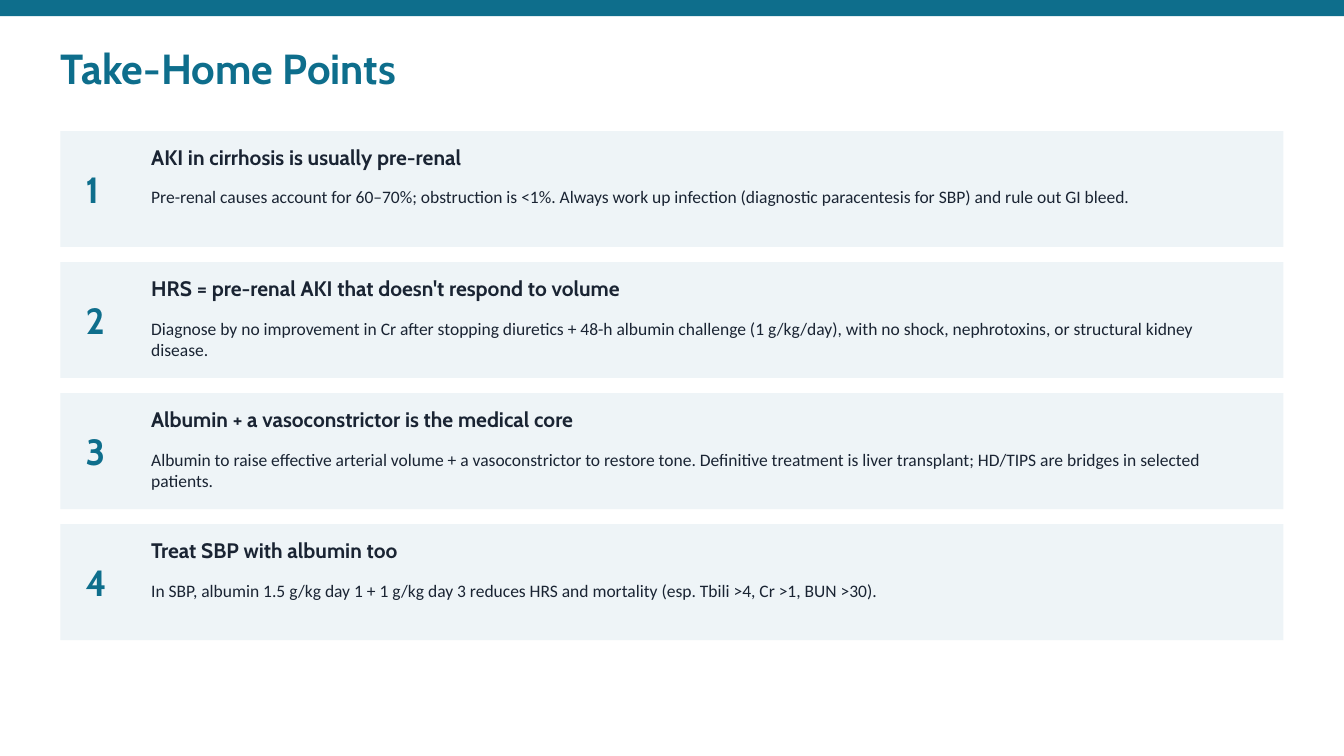
from dataclasses import dataclass

from pptx import Presentation
from pptx.dml.color import RGBColor
from pptx.enum.shapes import MSO_SHAPE
from pptx.enum.text import MSO_ANCHOR, MSO_AUTO_SIZE, PP_ALIGN
from pptx.util import Inches, Pt


@dataclass(frozen=True)
class Theme:
    accent: str = "0E6E8C"
    ink: str = "1A2433"
    panel: str = "EEF4F7"
    heading_font: str = "Cabin"
    body_font: str = "Calibri"
    title_size: float = 30
    number_size: float = 26
    heading_size: float = 15
    body_size: float = 12.5


THEME = Theme()
WIDTH, HEIGHT = 13.33, 7.5
MARGIN = 0.6
CONTENT_WIDTH = WIDTH - 2 * MARGIN
FIRST_ROW, ROW_PITCH, ROW_HEIGHT = 1.3, 1.3, 1.15
NUMBER_LEFT, TEXT_LEFT = MARGIN + 0.25, MARGIN + 0.9
TEXT_WIDTH = CONTENT_WIDTH - 1.2

POINTS = [
    ("AKI in cirrhosis is usually pre-renal",
     "Pre-renal causes account for 60–70%; obstruction is <1%. Always work up infection "
     "(diagnostic paracentesis for SBP) and rule out GI bleed."),
    ("HRS = pre-renal AKI that doesn't respond to volume",
     "Diagnose by no improvement in Cr after stopping diuretics + 48-h albumin challenge "
     "(1 g/kg/day), with no shock, nephrotoxins, or structural kidney disease."),
    ("Albumin + a vasoconstrictor is the medical core",
     "Albumin to raise effective arterial volume + a vasoconstrictor to restore tone. "
     "Definitive treatment is liver transplant; HD/TIPS are bridges in selected patients."),
    ("Treat SBP with albumin too",
     "In SBP, albumin 1.5 g/kg day 1 + 1 g/kg day 3 reduces HRS and mortality "
     "(esp. Tbili >4, Cr >1, BUN >30)."),
]


def write_text(shape, text, *, size, color=THEME.ink, font=THEME.heading_font,
               bold=True, anchor=MSO_ANCHOR.TOP):
    frame = shape.text_frame
    frame.word_wrap = True
    frame.auto_size = MSO_AUTO_SIZE.NONE
    frame.vertical_anchor = anchor
    frame.margin_left = frame.margin_right = frame.margin_top = frame.margin_bottom = 0
    paragraph = frame.paragraphs[0]
    paragraph.alignment = PP_ALIGN.LEFT
    paragraph.space_after = Pt(6)
    run = paragraph.add_run()
    run.text = text
    run.font.name = font
    run.font.size = Pt(size)
    run.font.bold = bold
    run.font.color.rgb = RGBColor.from_string(color)


def add_text(slide, text, left, top, width, height, **text_format):
    box = slide.shapes.add_textbox(*map(Inches, (left, top, width, height)))
    write_text(box, text, **text_format)


def add_panel(slide, left, top, width, height, color):
    panel = slide.shapes.add_shape(
        MSO_SHAPE.RECTANGLE, *map(Inches, (left, top, width, height)))
    panel.shadow.inherit = False
    panel.fill.solid()
    panel.fill.fore_color.rgb = RGBColor.from_string(color)
    panel.line.fill.background()


def set_title(slide, text):
    title = slide.shapes.title
    title.left, title.top = Inches(MARGIN), Inches(0.42)
    title.width, title.height = Inches(CONTENT_WIDTH), Inches(0.7)
    write_text(title, text, size=THEME.title_size, color=THEME.accent)


def add_point(slide, row, heading, detail):
    """Place one numbered point on its row of the list."""
    top = FIRST_ROW + row * ROW_PITCH
    add_panel(slide, MARGIN, top, CONTENT_WIDTH, ROW_HEIGHT, THEME.panel)
    add_text(slide, str(row + 1), NUMBER_LEFT, top + 0.1, 0.5, ROW_HEIGHT - 0.2,
             size=THEME.number_size, color=THEME.accent, anchor=MSO_ANCHOR.MIDDLE)
    add_text(slide, heading, TEXT_LEFT, top + 0.13, TEXT_WIDTH, 0.4,
             size=THEME.heading_size)
    add_text(slide, detail, TEXT_LEFT, top + 0.55, TEXT_WIDTH, 0.55,
             size=THEME.body_size, font=THEME.body_font, bold=False)


def main():
    presentation = Presentation()
    presentation.slide_width = Inches(WIDTH)
    presentation.slide_height = Inches(HEIGHT)
    title_only = presentation.slide_layouts.get_by_name("Title Only")
    slide = presentation.slides.add_slide(title_only)
    add_panel(slide, 0, 0, WIDTH, 0.16, THEME.accent)
    set_title(slide, "Take-Home Points")
    for row, (heading, detail) in enumerate(POINTS):
        add_point(slide, row, heading, detail)
    presentation.save("out.pptx")


if __name__ == "__main__":
    main()
